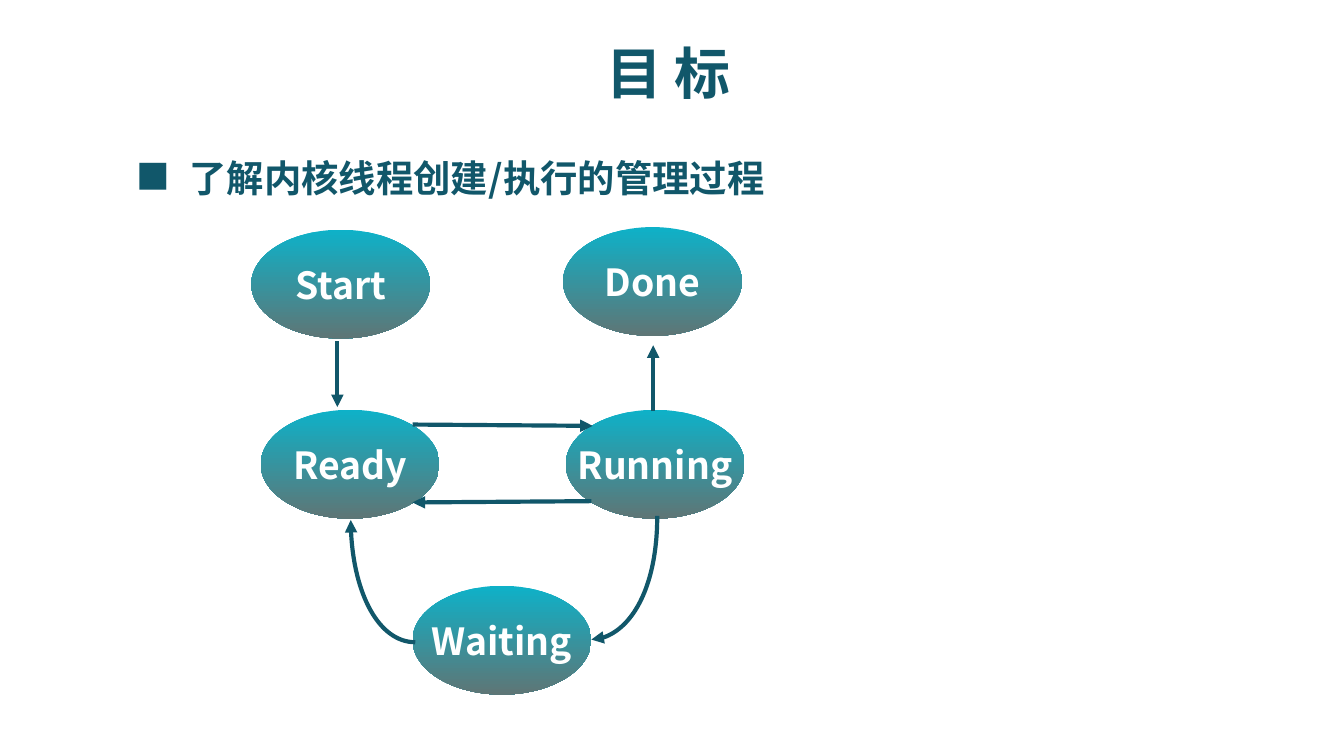
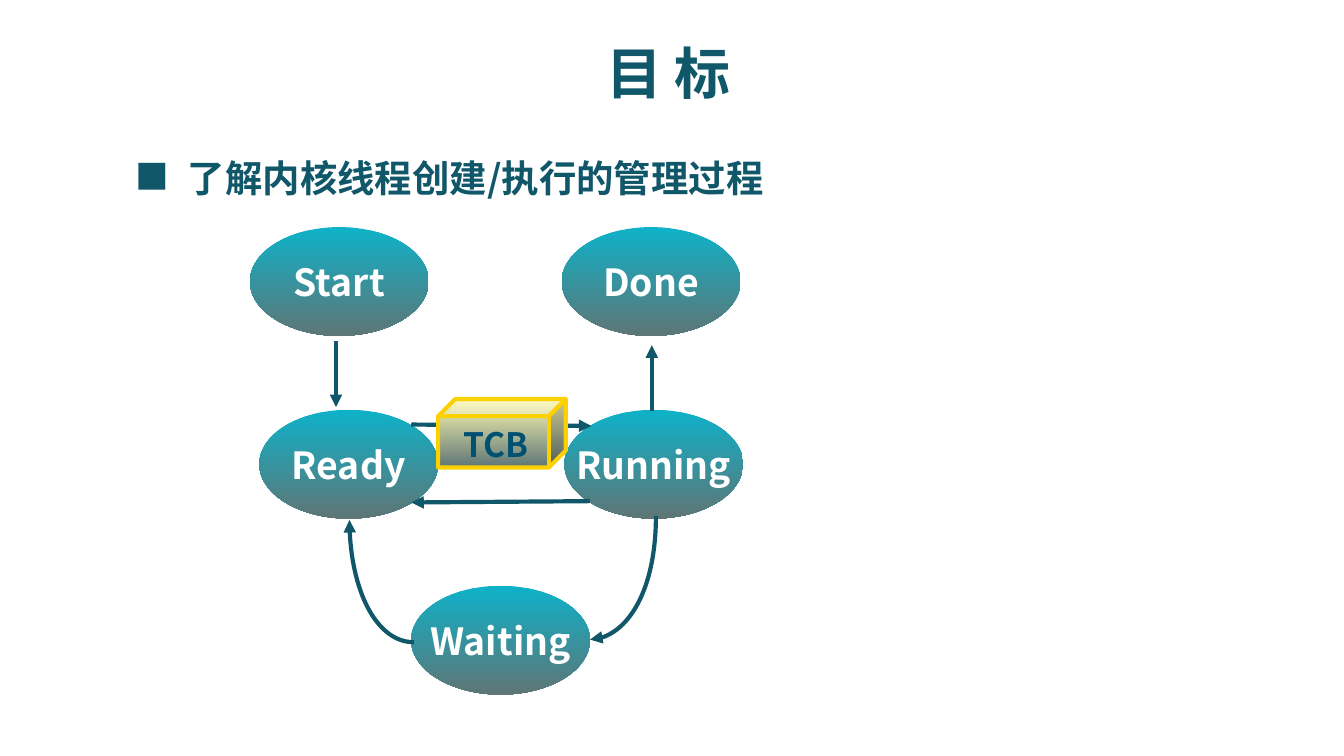
from dataclasses import dataclass

from pptx import Presentation
from pptx.dml.color import RGBColor
from pptx.enum.shapes import MSO_CONNECTOR as CONNECTOR, MSO_SHAPE as SHAPE
from pptx.enum.text import MSO_ANCHOR as ANCHOR, PP_ALIGN as ALIGN
from pptx.oxml.ns import qn
from pptx.util import Emu, Inches, Pt
from lxml.etree import SubElement


@dataclass(frozen=True)
class Theme:
    teal: str = "11576A"
    navy: str = "005072"
    white: str = "FFFFFF"
    gold: str = "FDD000"
    state_fill: tuple = ("0EB1C8", "5E7676")
    block_fill: tuple = ("FFF9B1", "5E7676")
    font: str = "Noto Sans CJK SC"
    marker_font: str = "Noto Sans CJK JP"
    title_size: int = 30
    body_size: int = 20
    small_size: int = 18
    line_width: float = 2.25


THEME = Theme()
STATE_SIZE = (1.33, 0.81)

# Left and top of each state on the first slide
STATES = {
    "Running": (4.21, 3.05),
    "Ready": (1.94, 3.05),
    "Waiting": (3.07, 4.36),
    "Start": (1.87, 1.71),
    "Done": (4.19, 1.69),
}

# Transitions, each running towards its arrowhead
STRAIGHT_ARROWS = [
    ((2.51, 2.54), (2.51, 3.03)),  # Start to Ready
    ((4.86, 3.06), (4.86, 2.57)),  # Running to Done
    ((3.07, 3.16), (4.41, 3.17)),  # Ready to Running
    ((4.40, 3.73), (3.07, 3.74)),  # Running to Ready
]
CURVED_ARROWS = [
    [(4.89, 3.84), (4.89, 4.35), (4.67, 4.76), (4.40, 4.76)],  # Running to Waiting
    [(3.09, 4.78), (2.82, 4.78), (2.61, 4.38), (2.61, 3.87)],  # Waiting to Ready
]


def apply_format(target, values):
    for name, value in values.items():
        setattr(target, name, value)


def write_text(shape, text, size, color=THEME.teal, font=THEME.font,
               wrap=True, anchor=ANCHOR.TOP, **paragraph_format):
    frame = shape.text_frame
    apply_format(frame, {
        "word_wrap": wrap, "vertical_anchor": anchor,
        "margin_left": Inches(0.1), "margin_right": Inches(0.1),
        "margin_top": Inches(0.05), "margin_bottom": Inches(0.05),
    })
    paragraph = frame.paragraphs[0]
    apply_format(paragraph, paragraph_format)
    run = paragraph.add_run()
    run.text = text
    apply_format(run.font, {"name": font, "size": Pt(size), "bold": True})
    run.font.color.rgb = RGBColor.from_string(color)
    # East Asian characters need their own typeface entry
    SubElement(run.font._element, qn("a:ea"), typeface=font)


def add_label(slide, box, text, size, **text_format):
    label = slide.shapes.add_textbox(*map(Inches, box))
    write_text(label, text, size, **text_format)


def add_title(slide, text):
    title = slide.shapes.title
    box = map(Inches, (4.27, 0.24, 1.41, 0.6))
    apply_format(title, dict(zip(("left", "top", "width", "height"), box)))
    write_text(title, text, THEME.title_size, alignment=ALIGN.CENTER)


def add_bullet(slide, left, width, text):
    add_label(slide, (left, 1.17, width, 0.37), text, THEME.body_size, line_spacing=0.8)
    add_label(slide, (left - 0.39, 1.11, 0.45, 0.4), "■", THEME.small_size,
              font=THEME.marker_font, wrap=False)


def add_gradient_shape(slide, kind, box, colors):
    shape = slide.shapes.add_shape(kind, *map(Inches, box))
    shape.shadow.inherit = False
    shape.fill.gradient()
    shape.fill.gradient_angle = 270
    for stop, color in zip(shape.fill.gradient_stops, colors):
        stop.color.rgb = RGBColor.from_string(color)
    shape.line.fill.background()
    return shape


def add_state(slide, name, left, top):
    state = add_gradient_shape(slide, SHAPE.OVAL, (left, top, *STATE_SIZE), THEME.state_fill)
    write_text(state, name, THEME.body_size, color=THEME.white, wrap=False,
               anchor=ANCHOR.MIDDLE, alignment=ALIGN.CENTER)


def set_line(shape, color):
    shape.line.color.rgb = RGBColor.from_string(color)
    shape.line.width = Pt(THEME.line_width)


def style_arrow(shape):
    set_line(shape, THEME.teal)
    properties = shape._element.spPr
    SubElement(properties.find(qn("a:ln")), qn("a:tailEnd"), type="triangle")
    if properties.find(qn("a:effectLst")) is None:
        SubElement(properties, qn("a:effectLst"))


def add_straight_arrow(slide, start, end):
    arrow = slide.shapes.add_connector(CONNECTOR.STRAIGHT, *map(Inches, start + end))
    style_arrow(arrow)


def add_curved_arrow(slide, points):
    start, *rest = [(Inches(x), Inches(y)) for x, y in points]
    builder = slide.shapes.build_freeform(*start)
    builder.add_line_segments(rest, close=False)
    arrow = builder.convert_to_shape()
    arrow.shadow.inherit = False
    arrow.fill.background()
    # Join the three line segments into one cubic curve
    segments = list(arrow._element.iter(qn("a:lnTo")))
    outline = segments[0].getparent()
    curve = SubElement(outline, qn("a:cubicBezTo"))
    for segment in segments:
        curve.append(segment[0])
        outline.remove(segment)
    style_arrow(arrow)


def add_state_diagram(slide, shift=0, moved_states=None):
    positions = {name: (left + shift, top) for name, (left, top) in STATES.items()}
    positions.update(moved_states or {})
    for name, (left, top) in positions.items():
        add_state(slide, name, left, top)
    for points in CURVED_ARROWS:
        add_curved_arrow(slide, [(x + shift, y) for x, y in points])
    for ends in STRAIGHT_ARROWS:
        add_straight_arrow(slide, *[(x + shift, y) for x, y in ends])


def add_control_block(slide):
    block = add_gradient_shape(slide, SHAPE.CUBE, (3.26, 2.97, 0.95, 0.51), THEME.block_fill)
    block.adjustments[0] = 0.25
    set_line(block, THEME.gold)
    add_label(slide, (3.35, 3.11, 0.69, 0.4), "TCB", THEME.small_size, color=THEME.navy)


def add_goal_slide(presentation, bullet_left, bullet_width):
    slide = presentation.slides.add_slide(presentation.slide_layouts[5])
    add_title(slide, "目 标")
    add_bullet(slide, bullet_left, bullet_width, "了解内核线程创建/执行的管理过程")
    return slide


def set_slide_size(presentation):
    presentation.slide_width = Inches(10)
    presentation.slide_height = Emu(5145088)
    # The default template declares a 4:3 screen
    presentation.element.sldSz.attrib.pop("type", None)


def main():
    presentation = Presentation()
    set_slide_size(presentation)

    # Thread states
    slide = add_goal_slide(presentation, 1.31, 4.92)
    add_state_diagram(slide)

    # Thread states with the thread control block
    slide = add_goal_slide(presentation, 1.3, 4.64)
    add_state_diagram(slide, shift=-0.01, moved_states={"Start": (1.86, 1.69)})
    add_control_block(slide)

    presentation.save("out.pptx")


if __name__ == "__main__":
    main()
